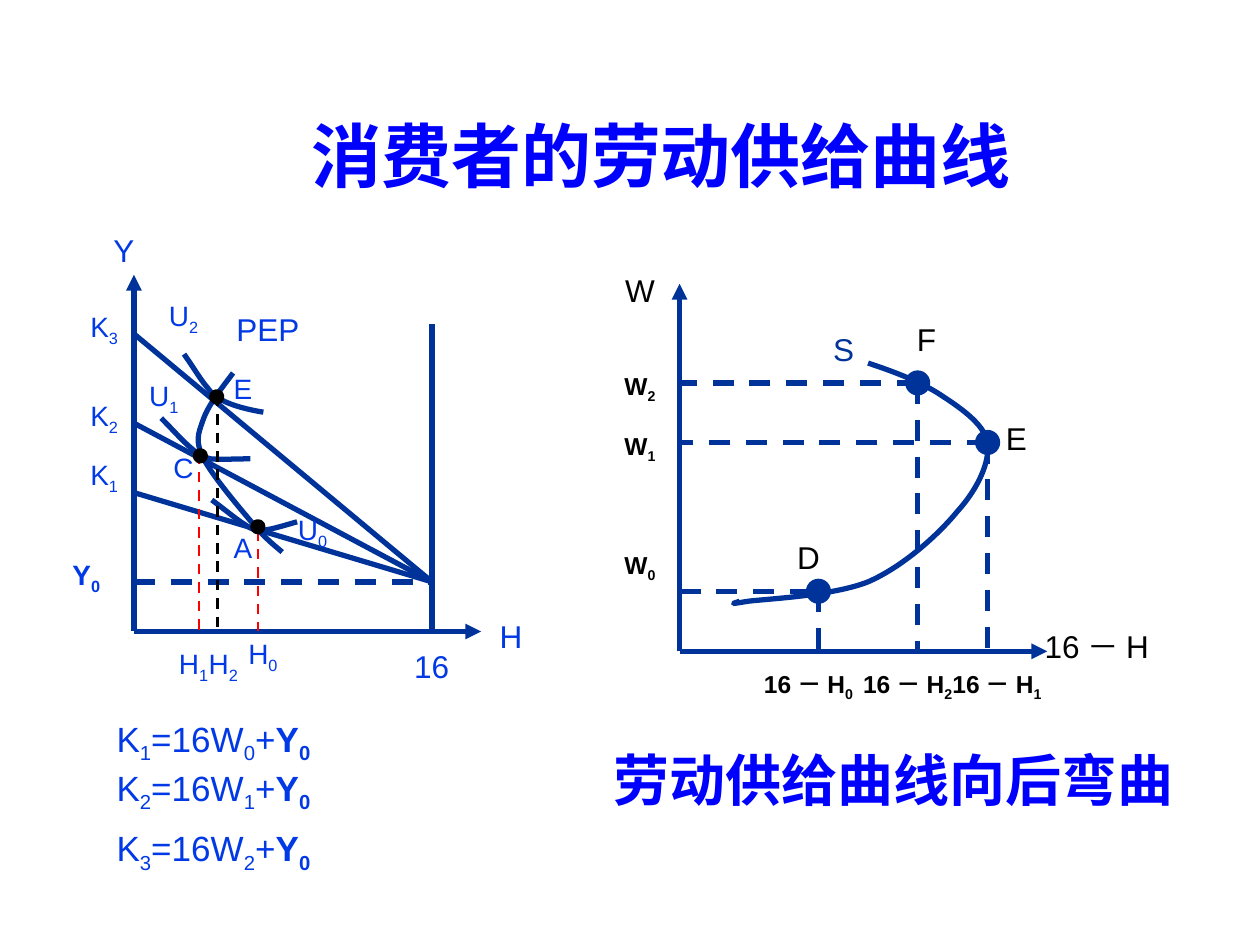
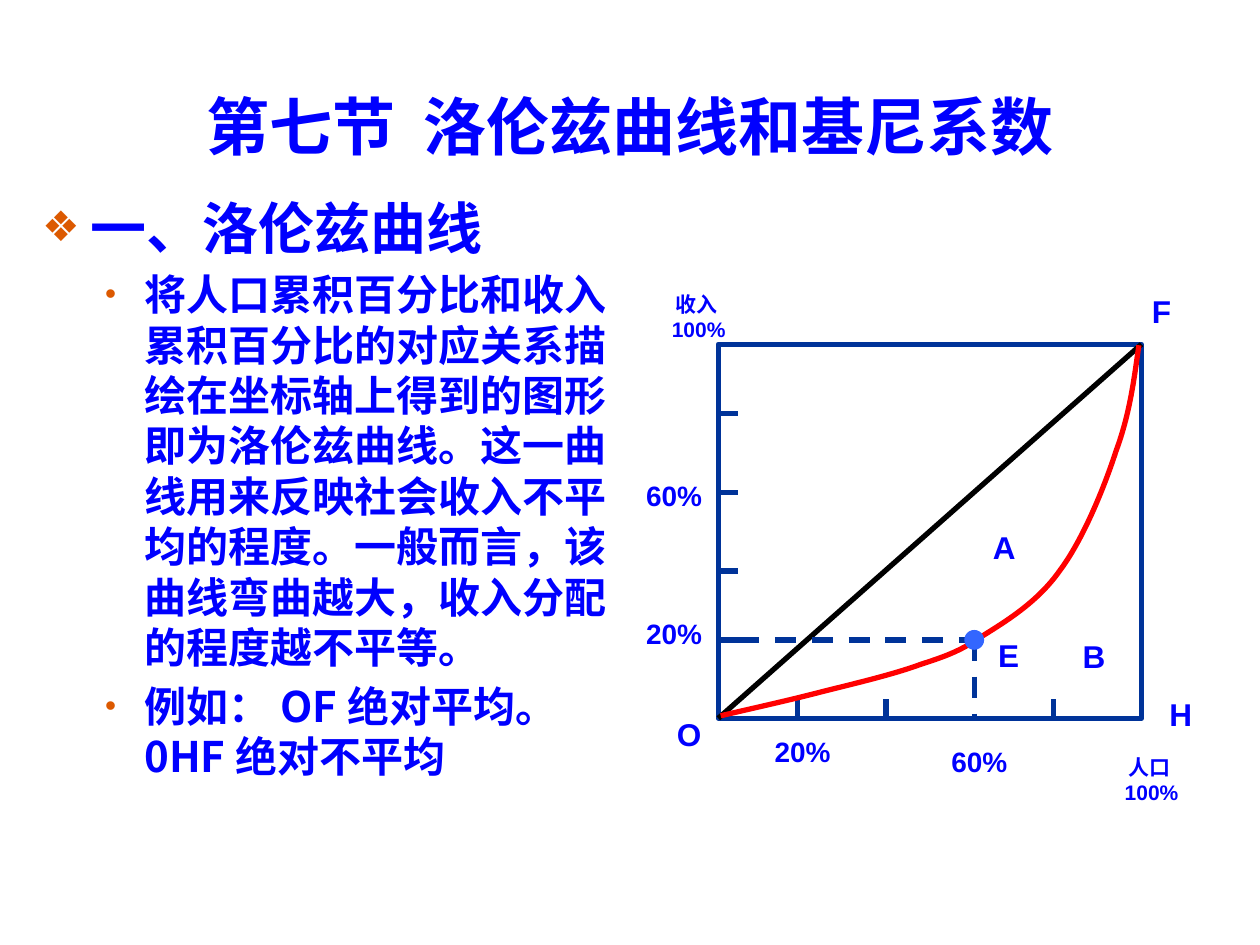
import lxml.etree
import pptx
import pptx.dml.color
import pptx.enum.dml
import pptx.enum.shapes
import pptx.enum.text
import pptx.oxml
import pptx.oxml.ns
import pptx.util

Cm = pptx.util.Cm
Pt = pptx.util.Pt
RGB = pptx.dml.color.RGBColor
qn = pptx.oxml.ns.qn
ALIGN = pptx.enum.text.PP_ALIGN
ANCHOR = pptx.enum.text.MSO_ANCHOR
OVAL = pptx.enum.shapes.MSO_SHAPE.OVAL

NAVY = RGB(0x00, 0x33, 0x99)
ROYAL = RGB(0x00, 0x39, 0xE5)
BLUE = RGB(0x00, 0x00, 0xFF)
SKY = RGB(0x33, 0x66, 0xFF)
RED = RGB(0xFF, 0x00, 0x00)
BLACK = RGB(0x00, 0x00, 0x00)
BULLET = "DC5900"
LATIN = "Arial"
CJK = "Noto Sans CJK SC"


def write(slide, text, left, top, width, height, size=18, colour=BLUE, bold=False,
          font=LATIN, align=ALIGN.CENTER, anchor=ANCHOR.MIDDLE, wrap=True, before=0):
    """Add a text box; "_" lowers the next character, "*" pairs mark bold parts."""
    frame = slide.shapes.add_textbox(Cm(left), Cm(top), Cm(width), Cm(height)).text_frame
    frame.word_wrap = wrap
    frame.vertical_anchor = anchor
    if not wrap:
        frame.margin_left = frame.margin_right = 0
    for row, line in enumerate(text.split("\n")):
        paragraph = frame.add_paragraph() if row else frame.paragraphs[0]
        paragraph.alignment = align
        paragraph.space_before = Pt(before)
        for part, piece in enumerate(line.split("*")):
            for index, chunk in enumerate(piece.split("_")):
                lowered, level = (chunk[:1], chunk[1:]) if index else ("", chunk)
                for words, baseline in ((lowered, "-25000"), (level, "0")):
                    if not words:
                        continue
                    run = paragraph.add_run()
                    run.text = words
                    run.font.size = Pt(size)
                    run.font.name = font
                    run.font.bold = bold or part % 2 == 1
                    run.font.color.rgb = colour
                    properties = run._r.get_or_add_rPr()
                    properties.set("baseline", baseline)
                    east_asian = pptx.oxml.parse_xml(
                        f'<a:ea {pptx.oxml.ns.nsdecls("a")} typeface="{CJK}"/>')
                    properties.find(qn("a:latin")).addnext(east_asian)
    return frame


def stroke(slide, points, colour=NAVY, width=3, dashed=False, arrow=False):
    """Draw a straight line through two points, or a Bézier curve through 3n + 1."""
    if len(points) == 2:
        (x1, y1), (x2, y2) = points
        drawn = slide.shapes.add_connector(
            pptx.enum.shapes.MSO_CONNECTOR.STRAIGHT, Cm(x1), Cm(y1), Cm(x2), Cm(y2))
        drawn._element.spPr.append(pptx.oxml.parse_xml(
            f'<a:effectLst {pptx.oxml.ns.nsdecls("a")}/>'))
    else:
        start, *others = [(Cm(x), Cm(y)) for x, y in points]
        builder = slide.shapes.build_freeform(*start)
        builder.add_line_segments(others, close=False)
        drawn = builder.convert_to_shape()
        drawn.fill.background()
        drawn.shadow.inherit = False
        outline = next(drawn._element.iter(qn("a:path")))
        segments = outline.findall(qn("a:lnTo"))
        for first in range(0, len(segments), 3):
            bezier = lxml.etree.SubElement(outline, qn("a:cubicBezTo"))
            for segment in segments[first:first + 3]:
                bezier.append(segment[0])
                outline.remove(segment)
    drawn.line.color.rgb = colour
    drawn.line.width = Pt(width)
    if dashed:
        drawn.line.dash_style = pptx.enum.dml.MSO_LINE.DASH
    if arrow:
        drawn.line._get_or_add_ln().append(pptx.oxml.parse_xml(
            f'<a:tailEnd {pptx.oxml.ns.nsdecls("a")} type="triangle"/>'))


deck = pptx.Presentation()
deck.slide_width = Cm(25.4)
deck.slide_height = Cm(19.05)
blank = deck.slide_layouts[6]

# Slide 1: labour supply curve
labour = deck.slides.add_slide(blank)
write(labour, "消费者的劳动供给曲线", 5.3, 1.52, 16.05, 3.18, size=40, bold=True)
equations = (("K_1=16W_0+*Y_0*", 14.33), ("K_2=16W_1+*Y_0*", 15.32), ("K_3=16W_2+*Y_0*", 16.54))
for equation, top in equations:
    write(labour, equation, 2.1, top, 7.67, 1.2, size=20, colour=ROYAL,
          align=ALIGN.LEFT, anchor=ANCHOR.TOP, before=4)

# Axes of both diagrams
for origin, x_end, y_end in (((2.7, 12.73), 9.7, 5.54), ((13.7, 13.13), 21.11, 5.72)):
    stroke(labour, (origin, (x_end, origin[1])), arrow=True)
    stroke(labour, (origin, (origin[0], y_end)), arrow=True)

# Budget lines and indifference curves
income_axis, hours_axis, full_time, endowment = 2.7, 12.73, 8.71, 11.73
stroke(labour, ((income_axis, endowment), (full_time, endowment)), dashed=True)
stroke(labour, ((full_time, hours_axis), (full_time, 6.53)))
for intercept in (9.93, 8.53, 6.73):
    stroke(labour, ((full_time, endowment), (income_axis, intercept)))

indifference_0 = ((4.27, 10.08), (4.52, 10.26), (4.75, 10.46), (4.93, 10.57), (5.11, 10.69),
                  (5.13, 10.69), (5.31, 10.69), (5.49, 10.67), (5.74, 10.59), (5.99, 10.52))
indifference_1 = ((3.25, 8.43), (3.48, 8.66), (3.68, 8.89), (3.86, 9.04), (4.01, 9.17),
                  (4.06, 9.19), (4.24, 9.25), (4.45, 9.27), (4.75, 9.25), (5.05, 9.25))
indifference_2 = ((3.71, 7.14), (3.89, 7.39), (4.04, 7.65), (4.17, 7.8), (4.29, 7.95),
                  (4.32, 8.0), (4.5, 8.08), (4.7, 8.18), (5.0, 8.26), (5.31, 8.31))
price_expansion = ((5.69, 11.13), (5.54, 11.0), (5.36, 10.87), (5.11, 10.57), (4.83, 10.24),
                   (4.27, 9.58), (4.09, 9.22), (3.94, 8.89), (3.99, 8.76), (4.09, 8.48),
                   (4.19, 8.18), (4.45, 7.85), (4.7, 7.52))
supply = ((14.91, 12.12), (14.78, 12.17), (14.66, 12.19), (15.09, 12.12), (15.52, 12.07),
          (16.79, 12.01), (17.5, 11.73), (18.19, 11.43), (18.9, 10.8), (19.3, 10.31),
          (19.71, 9.86), (19.96, 9.32), (19.91, 8.92), (19.84, 8.53), (19.3, 8.18),
          (18.9, 7.92), (18.49, 7.67), (18.01, 7.49), (17.5, 7.32))
for curve in (indifference_0, indifference_1, indifference_2, price_expansion, supply):
    stroke(labour, curve)

for x, y, colour in ((5.2, 10.69, RED), (4.01, 9.14, RED), (4.39, 7.98, BLACK)):
    stroke(labour, ((x, y), (x, hours_axis)), colour, 1.5, dashed=True)

# Guides from the supply points to the axes
wage_axis, work_axis = 13.7, 13.13
point_d, point_e, point_f = (16.5, 11.92), (19.91, 8.92), (18.5, 7.72)
stroke(labour, ((wage_axis, point_d[1]), point_d), dashed=True)
for x, y in (point_e, point_f):
    stroke(labour, ((x, y), (wage_axis, y)), dashed=True)
for x, y in (point_d, point_e, point_f):
    stroke(labour, ((x, y), (x, work_axis)), dashed=True)

dot_groups = (
    (((5.2, 10.62), (4.04, 9.19), (4.37, 8.0)), 0.2, BLACK),
    ((point_d, point_e, point_f), 0.4, NAVY),
)
for centres, diameter, colour in dot_groups:
    for x, y in centres:
        dot = labour.shapes.add_shape(OVAL, Cm(x - diameter / 2), Cm(y - diameter / 2),
                                      Cm(diameter), Cm(diameter))
        dot.shadow.inherit = False
        dot.fill.solid()
        dot.fill.fore_color.rgb = colour
        dot.line.color.rgb = colour
        dot.line.width = Pt(3)

# Labels, each centred on its point
label_groups = (
    (18, ROYAL, False, 0.8, (("Y", 2.5, 5.03), ("16", 8.7, 13.43), ("H", 10.3, 12.82))),
    (18, ROYAL, False, 1.8, (("PEP", 5.4, 6.64),)),
    (16, ROYAL, False, 0.8, (("H_0", 5.3, 13.22), ("H_1", 3.9, 13.42), ("H_2", 4.5, 13.42),
                             ("U_0", 6.3, 10.72), ("U_1", 3.3, 8.01), ("U_2", 3.7, 6.41),
                             ("A", 4.9, 11.03), ("C", 3.7, 9.42), ("E", 4.9, 7.82),
                             ("K_1", 2.1, 9.61), ("K_2", 2.1, 8.42), ("K_3", 2.1, 6.62))),
    (16, ROYAL, True, 1.5, (("Y_0", 1.74, 11.62),)),
    (18, NAVY, False, 1.8, (("S", 17.01, 7.03),)),
    (18, BLACK, False, 0.8, (("W", 12.9, 5.84), ("D", 16.3, 11.22), ("E", 20.49, 8.83),
                             ("F", 18.68, 6.83))),
    (18, BLACK, False, 2.3, (("16－H", 22.11, 13.02),)),
    (14, BLACK, True, 0.8, (("W_0", 12.9, 11.42), ("W_1", 12.9, 9.03), ("W_2", 12.9, 7.81))),
    (14, BLACK, True, 2.3, (("16－H_0", 16.3, 13.83), ("16－H_1", 20.1, 13.83),
                            ("16－H_2", 18.3, 13.83))),
)
for size, colour, bold, width, labels in label_groups:
    for label, x, y in labels:
        write(labour, label, x - width / 2, y - 0.5, width, 1, size=size, colour=colour,
              bold=bold, wrap=False)
write(labour, "劳动供给曲线向后弯曲", 11.7, 14.12, 12.65, 3.18, size=32, bold=True, font=CJK)

# Slide 2: Lorenz curve
lorenz = deck.slides.add_slide(blank)
write(lorenz, "第七节  洛伦兹曲线和基尼系数", 0.84, 1.69, 23.72, 1.68, size=36, bold=True, font=CJK)
explanation = write(
    lorenz,
    "一、洛伦兹曲线\n"
    "将人口累积百分比和收入累积百分比的对应关系描绘在坐标轴上得到的图形即为洛伦兹曲线。"
    "这一曲线用来反映社会收入不平均的程度。一般而言，该曲线弯曲越大，收入分配的程度越不平等。\n"
    "例如：OF绝对平均。0HF绝对不平均",
    0.6, 3.77, 12.12, 12.9, size=24, bold=True, font=CJK,
    align=ALIGN.LEFT, anchor=ANCHOR.TOP, before=4.8)
outline = (("❖", 32, 0.97, -0.97), ("•", 24, 2.06, -0.79), ("•", 24, 2.06, -0.79))
for paragraph, (mark, size, margin, indent) in zip(explanation.paragraphs, outline):
    paragraph.runs[0].font.size = Pt(size)
    paragraph.space_before = Pt(size * 0.2)
    paragraph.line_spacing = Pt(size * 1.2)
    properties = paragraph._p.get_or_add_pPr()
    properties.set("marL", str(Cm(margin)))
    properties.set("indent", str(Cm(indent)))
    for bullet in (f'buClr {{}}><a:srgbClr val="{BULLET}"/></a:buClr>',
                   'buSzPct {} val="75000"/>',
                   'buFont {} typeface="Arial"/>',
                   f'buChar {{}} char="{mark}"/>'):
        properties.append(pptx.oxml.parse_xml(
            "<a:" + bullet.format(pptx.oxml.ns.nsdecls("a"))))

left, top, right, bottom = 14.48, 6.94, 23.01, 14.48
square = lorenz.shapes.add_shape(pptx.enum.shapes.MSO_SHAPE.RECTANGLE, Cm(left), Cm(top),
                                 Cm(right - left), Cm(bottom - top))
square.shadow.inherit = False
square.fill.background()
square.line.color.rgb = NAVY
square.line.width = Pt(3)
stroke(lorenz, ((left, bottom), (right, top)), BLACK)

sample = (19.64, 12.9)
for x in (16.08, 17.86, 21.23):
    stroke(lorenz, ((x, bottom - 0.38), (x, bottom)))
for y in (8.33, 9.93, 11.51, sample[1]):
    stroke(lorenz, ((left, y), (left + 0.4, y)))
stroke(lorenz, (sample, (sample[0], bottom)), dashed=True)
stroke(lorenz, ((left + 0.4, sample[1]), sample), dashed=True)
stroke(lorenz, ((14.53, 14.43), (15.21, 14.27), (15.9, 14.12), (16.59, 13.94), (17.27, 13.77),
                (18.03, 13.59), (18.57, 13.39), (19.13, 13.21), (19.38, 13.11), (19.84, 12.8),
                (20.32, 12.5), (20.93, 12.12), (21.36, 11.51), (21.82, 10.9), (22.25, 9.86),
                (22.5, 9.09), (22.78, 8.33), (22.86, 7.65), (22.96, 6.96)), RED)

sample_dot = lorenz.shapes.add_shape(OVAL, Cm(sample[0] - 0.2), Cm(sample[1] - 0.2),
                                     Cm(0.4), Cm(0.4))
sample_dot.shadow.inherit = False
sample_dot.fill.solid()
sample_dot.fill.fore_color.rgb = SKY
sample_dot.line.fill.background()

captions = (
    (12, 1.67, (("人口100%", 22.38, 15.09), ("收入100%", 13.25, 5.75))),
    (16, 1.78, (("60%", 18.85, 14.88), ("20%", 15.29, 14.68), ("20%", 12.7, 12.3),
                ("60%", 12.7, 9.53))),
    (18, 1.57, (("A", 19.46, 10.52), ("B", 21.27, 12.72), ("E", 19.55, 12.7),
                ("O", 13.11, 14.28), ("F", 22.63, 5.77), ("H", 23.02, 13.89))),
)
for size, width, labels in captions:
    for label, x, y in labels:
        write(lorenz, label, x, y, width, 1.19, size=size, bold=True, anchor=ANCHOR.TOP)

deck.save("out.pptx")
